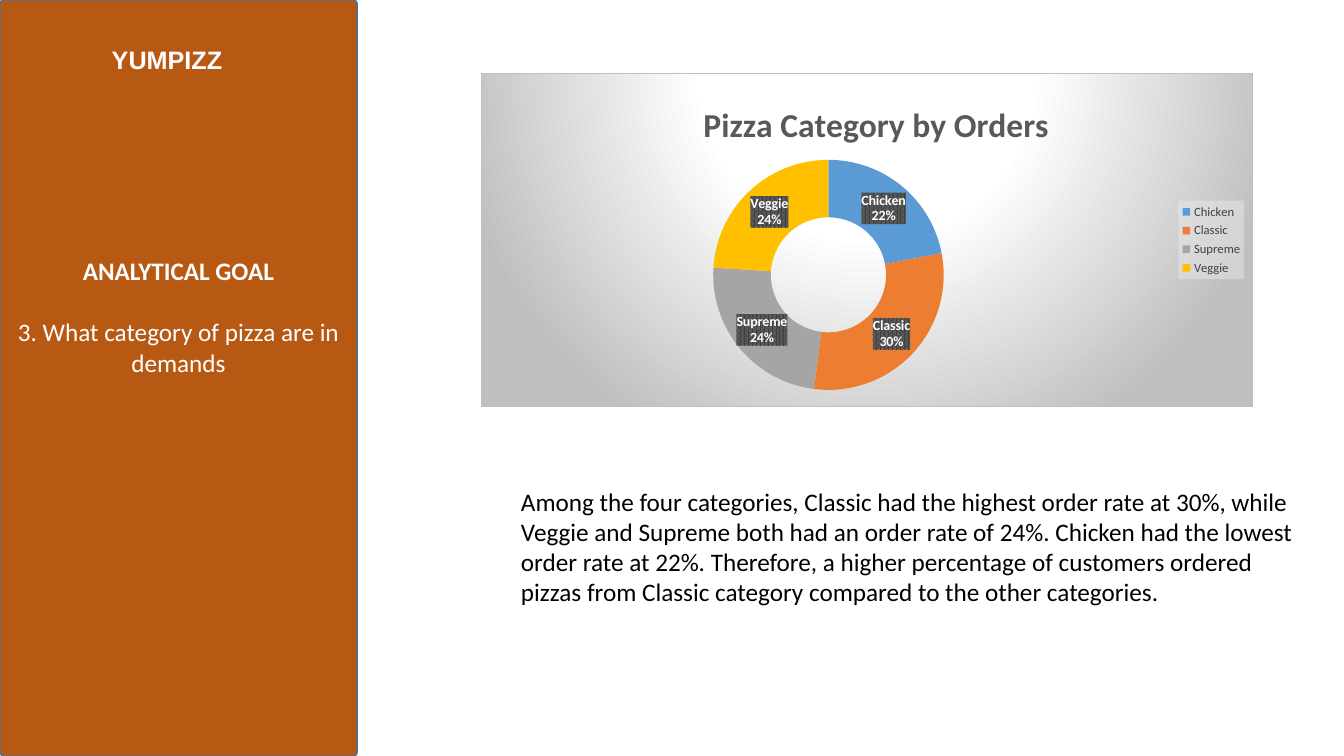
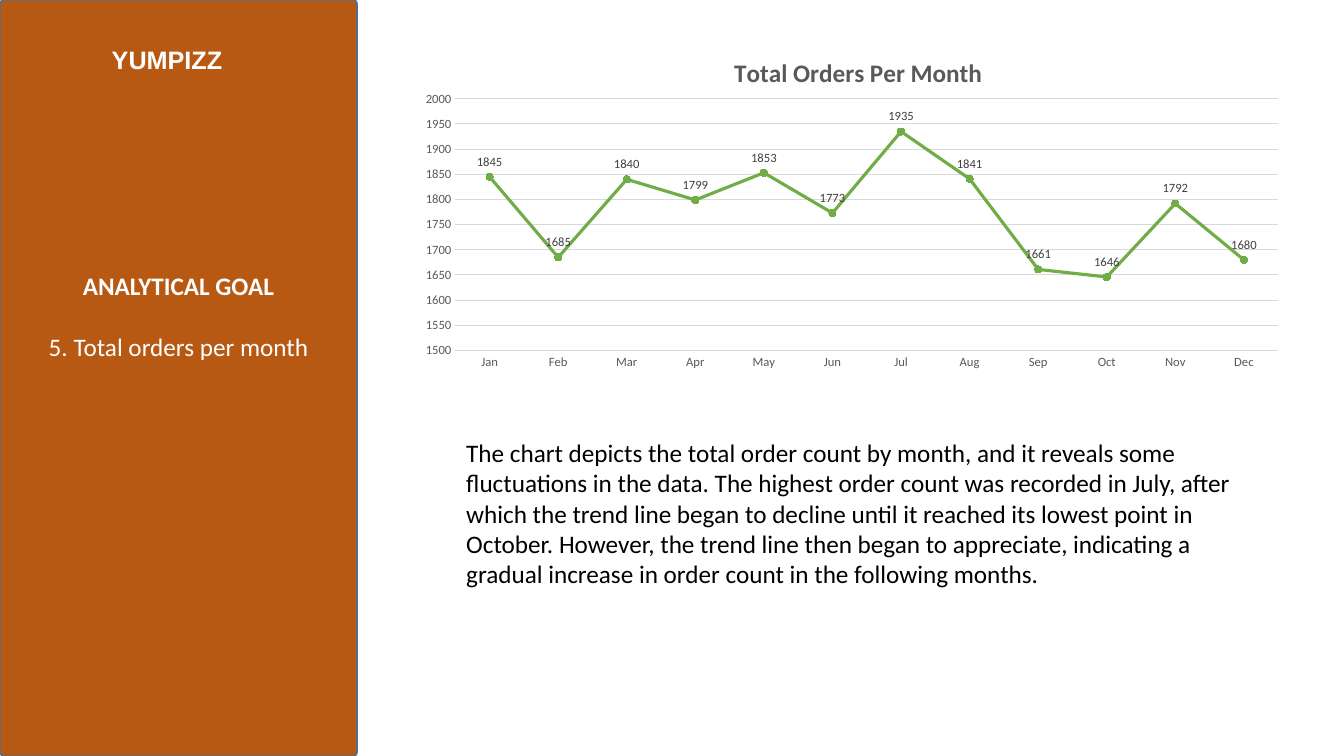
from dataclasses import dataclass
from typing import Any

from pptx import Presentation
from pptx import util as u
from pptx.chart.data import CategoryChartData
from pptx.dml.color import RGBColor
from pptx.enum import chart as ch
from pptx.enum import shapes, text
from pptx.oxml import parse_xml
from pptx.oxml.ns import nsdecls, qn

# Shared look
BAND, BAND_EDGE = "B75813", "43739E"
WHITE, BLACK = "FFFFFF", "000000"
TITLE_GREY, LABEL_GREY, GRID_GREY = "595959", "404040", "D9D9D9"
GREEN = "70AD47"
SLICES = ("5B9BD5", "ED7D31", "A5A5A5", "FFC000")
BODY_FONT, TITLE_FONT = "Calibri", "Arial"
SLIDE_WIDTH, SLIDE_HEIGHT, BAND_WIDTH = u.Cm(33.87), u.Cm(19.05), u.Cm(9)
BRAND, GOAL_HEADING = "YUMPIZZ", "ANALYTICAL GOAL"

# Fills for chart parts
BACKDROP = (
    '<a:gradFill><a:gsLst><a:gs pos="0"><a:srgbClr val="FFFFFF"/></a:gs>'
    '<a:gs pos="39000"><a:srgbClr val="FFFFFF"/></a:gs>'
    '<a:gs pos="100000"><a:srgbClr val="BFBFBF"/></a:gs></a:gsLst>'
    '<a:path path="circle"><a:fillToRect l="50000" t="-80000" r="50000" b="180000"/>'
    '</a:path></a:gradFill>'
    '<a:ln w="9525"><a:solidFill><a:srgbClr val="BFBFBF"/></a:solidFill></a:ln>'
)
LEGEND_FILL = (
    '<a:solidFill><a:srgbClr val="F2F2F2"><a:alpha val="39000"/></a:srgbClr></a:solidFill>'
)
LABEL_FILL = (
    '<a:pattFill prst="pct75"><a:fgClr><a:srgbClr val="404040"/></a:fgClr>'
    '<a:bgClr><a:srgbClr val="595959"/></a:bgClr></a:pattFill>'
)


@dataclass(frozen=True)
class Area:
    """Left, top, width and height in centimetres."""
    left: float
    top: float
    width: float
    height: float

    def lengths(self) -> tuple[u.Cm, ...]:
        return tuple(u.Cm(v) for v in (self.left, self.top, self.width, self.height))


@dataclass(frozen=True)
class ChartSpec:
    title: str
    title_size: int
    title_at: tuple[float, ...]
    plot_at: tuple[float, ...]
    kind: Any
    area: Area
    categories: tuple[str, ...]
    values: tuple[int, ...]


@dataclass(frozen=True)
class GoalSlide:
    question: str
    comment: str
    comment_area: Area
    chart: ChartSpec


GOALS = (
    GoalSlide(
        "3. What category of pizza are in demands",
        "Among the four categories, Classic had the highest order rate at 30%, while "
        "Veggie and Supreme both had an order rate of 24%. Chicken had the lowest order "
        "rate at 22%. Therefore, a higher percentage of customers ordered pizzas from "
        "Classic category compared to the other categories.",
        Area(12.88, 12.12, 20.52, 3.33),
        ChartSpec(
            "Pizza Category by Orders", 24, (0.28, 0.07), (0.3, 0.26, 0.3, 0.69),
            ch.XL_CHART_TYPE.DOUGHNUT, Area(12.12, 1.83, 19.46, 8.43),
            ("Chicken", "Classic", "Supreme", "Veggie"), (22, 30, 24, 24),
        ),
    ),
    GoalSlide(
        "5. Total orders per month",
        "The chart depicts the total order count by month, and it reveals some "
        "fluctuations in the data. The highest order count was recorded in July, after "
        "which the trend line began to decline until it reached its lowest point in "
        "October. However, the trend line then began to appreciate, indicating a gradual "
        "increase in order count in the following months.",
        Area(11.5, 10.9, 20.52, 4.11),
        ChartSpec(
            "Total Orders Per Month", 18, (0.36, 0.05), (0.05, 0.19, 0.93, 0.73),
            ch.XL_CHART_TYPE.LINE_MARKERS, Area(10.36, 0.84, 22.3, 8.69),
            ("Jan", "Feb", "Mar", "Apr", "May", "Jun",
             "Jul", "Aug", "Sep", "Oct", "Nov", "Dec"),
            (1845, 1685, 1840, 1799, 1853, 1773, 1935, 1841, 1661, 1646, 1792, 1680),
        ),
    ),
)


def rgb(value: str) -> RGBColor:
    return RGBColor.from_string(value)


def set_values(target: Any, values: dict[str, Any]) -> None:
    for name, value in values.items():
        setattr(target, name, value)


def set_font(font: Any, size: float, color: str, bold: bool = False,
             name: str = BODY_FONT) -> None:
    set_values(font, {"name": name, "size": u.Pt(size), "bold": bold})
    font.color.rgb = rgb(color)


def set_line(line: Any, color: str, width: float) -> None:
    line.color.rgb = rgb(color)
    line.width = u.Pt(width)


def write(para: Any, words: str, color: str, bold: bool = False,
          name: str = BODY_FONT) -> None:
    span = para.add_run()
    span.text = words
    set_font(span.font, 18, color, bold, name)


# Chart helpers
def fill_part(element: Any, fill: str) -> None:
    """Give a chart part, whose font is already set, a fill."""
    element.find(qn("c:txPr")).addprevious(
        parse_xml(f"<c:spPr {nsdecls('c', 'a')}>{fill}</c:spPr>"))


def place_part(element: Any, index: int, fractions: tuple[float, ...], inner: bool) -> None:
    """Fix the place of a chart part in fractions of the chart."""
    keys = ("x", "y", "w", "h")[:len(fractions)]
    target = '<c:layoutTarget val="inner"/>' if inner else ""
    modes = "".join(f'<c:{key}Mode val="edge"/>' for key in keys[:2])
    sizes = "".join(f'<c:{key} val="{value}"/>' for key, value in zip(keys, fractions))
    old = element.find(qn("c:layout"))
    if old is not None:
        element.remove(old)
    element.insert(index, parse_xml(
        f"<c:layout {nsdecls('c')}><c:manualLayout>{target}{modes}{sizes}"
        "</c:manualLayout></c:layout>"))


def style_doughnut(chart: Any) -> None:
    fill_part(chart.element, BACKDROP)
    chart.has_legend = True
    legend = chart.legend
    set_values(legend, {"position": ch.XL_LEGEND_POSITION.RIGHT, "include_in_layout": False})
    set_font(legend.font, 9, LABEL_GREY)
    fill_part(legend.font and chart.element.find(f".//{qn('c:legend')}"), LEGEND_FILL)

    chart.plots[0].vary_by_categories = True
    series = chart.plots[0].series[0]
    for index, color in enumerate(SLICES):
        fill = series.points[index].format.fill
        fill.solid()
        fill.fore_color.rgb = rgb(color)

    labels = series.data_labels
    set_values(labels, {"show_value": False, "show_percentage": True,
                        "show_category_name": True, "number_format": "0%",
                        "number_format_is_linked": False})
    set_font(labels.font, 10, WHITE, True)
    element = chart.element.find(f".//{qn('c:ser')}/{qn('c:dLbls')}")
    fill_part(element, LABEL_FILL)
    separator = parse_xml(f"<c:separator {nsdecls('c')}>\n</c:separator>")
    last_switch = element.find(qn("c:showBubbleSize"))
    if last_switch is None:
        last_switch = element.find(qn("c:showPercent"))
    last_switch.addnext(separator)


def style_line(chart: Any) -> None:
    chart.has_legend = False
    chart.plots[0].vary_by_categories = False
    for axis in (chart.category_axis, chart.value_axis):
        axis.major_tick_mark = axis.minor_tick_mark = ch.XL_TICK_MARK.NONE
        set_font(axis.tick_labels.font, 9, TITLE_GREY)
    set_line(chart.category_axis.format.line, GRID_GREY, 0.75)
    values = chart.value_axis
    set_values(values, {"minimum_scale": 1500, "maximum_scale": 2000, "major_unit": 50})
    values.format.line.fill.background()
    set_line(values.major_gridlines.format.line, GRID_GREY, 0.75)

    series = chart.plots[0].series[0]
    series.smooth = False
    set_line(series.format.line, GREEN, 2.25)
    set_values(series.marker, {"style": ch.XL_MARKER_STYLE.CIRCLE, "size": 5})
    series.marker.format.fill.solid()
    series.marker.format.fill.fore_color.rgb = rgb(GREEN)
    set_line(series.marker.format.line, GREEN, 0.75)
    labels = series.data_labels
    set_values(labels, {"show_value": True, "position": ch.XL_LABEL_POSITION.ABOVE})
    set_font(labels.font, 9, LABEL_GREY)


STYLES = {
    ch.XL_CHART_TYPE.DOUGHNUT: style_doughnut,
    ch.XL_CHART_TYPE.LINE_MARKERS: style_line,
}


def add_chart(page: Any, plan: ChartSpec) -> None:
    data = CategoryChartData()
    data.categories = plan.categories
    data.add_series("Series 1", plan.values)
    chart = page.shapes.add_chart(plan.kind, *plan.area.lengths(), data).chart
    set_font(chart.font, 10, BLACK)
    chart.has_title = True
    para = chart.chart_title.text_frame.paragraphs[0]
    span = para.add_run()
    span.text = plan.title
    set_font(span.font, plan.title_size, TITLE_GREY, True)
    place_part(chart.element.find(f".//{qn('c:title')}"), 1, plan.title_at, False)
    place_part(chart.element.find(f".//{qn('c:plotArea')}"), 0, plan.plot_at, True)
    STYLES[plan.kind](chart)


# Slide parts
def add_band(page: Any, question: str) -> None:
    band = page.shapes.add_shape(
        shapes.MSO_SHAPE.ROUNDED_RECTANGLE, 0, 0, BAND_WIDTH, SLIDE_HEIGHT)
    band.adjustments[0] = 0.01
    band.shadow.inherit = False
    band.fill.solid()
    band.fill.fore_color.rgb = rgb(BAND)
    set_line(band.line, BAND_EDGE, 1)
    frame = band.text_frame
    set_values(frame, {"word_wrap": True, "vertical_anchor": text.MSO_ANCHOR.MIDDLE,
                       "margin_bottom": u.Cm(3.23)})
    heading, goal = frame.paragraphs[0], frame.add_paragraph()
    heading.alignment = goal.alignment = text.PP_ALIGN.CENTER
    heading.space_after = u.Pt(22)
    write(heading, GOAL_HEADING, WHITE, True)
    write(goal, question, WHITE)
    # The band lies behind the title
    page.shapes.title.element.addprevious(band.element)


def add_title(page: Any) -> None:
    title = page.shapes.title
    left, top, width, height = Area(1.49, 0.78, 5.44, 1.45).lengths()
    set_values(title, {"left": left, "top": top, "width": width, "height": height})
    set_values(title.text_frame, {"vertical_anchor": text.MSO_ANCHOR.MIDDLE,
                                  "auto_size": text.MSO_AUTO_SIZE.NONE})
    para = title.text_frame.paragraphs[0]
    para.alignment = text.PP_ALIGN.CENTER
    write(para, BRAND, WHITE, True, TITLE_FONT)


def add_comment(page: Any, words: str, area: Area) -> None:
    frame = page.shapes.add_textbox(*area.lengths()).text_frame
    set_values(frame, {"word_wrap": True, "auto_size": text.MSO_AUTO_SIZE.SHAPE_TO_FIT_TEXT})
    write(frame.paragraphs[0], words, BLACK)


def main() -> None:
    deck = Presentation()
    set_values(deck, {"slide_width": SLIDE_WIDTH, "slide_height": SLIDE_HEIGHT})
    title_only = deck.slide_layouts.get_by_name("Title Only")
    for goal in GOALS:
        page = deck.slides.add_slide(title_only)
        add_title(page)
        add_band(page, goal.question)
        add_comment(page, goal.comment, goal.comment_area)
        add_chart(page, goal.chart)
    deck.save("out.pptx")


if __name__ == "__main__":
    main()
